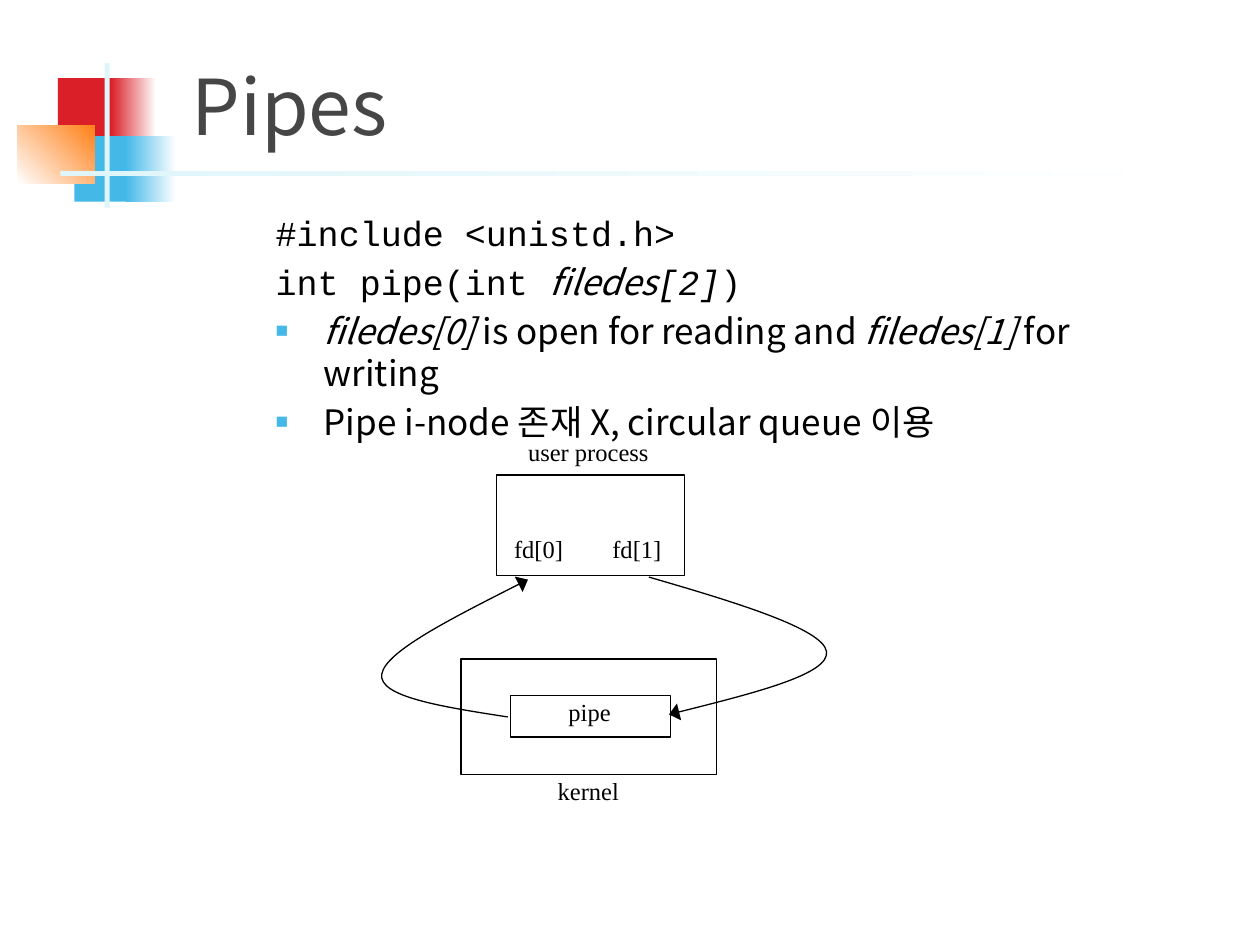
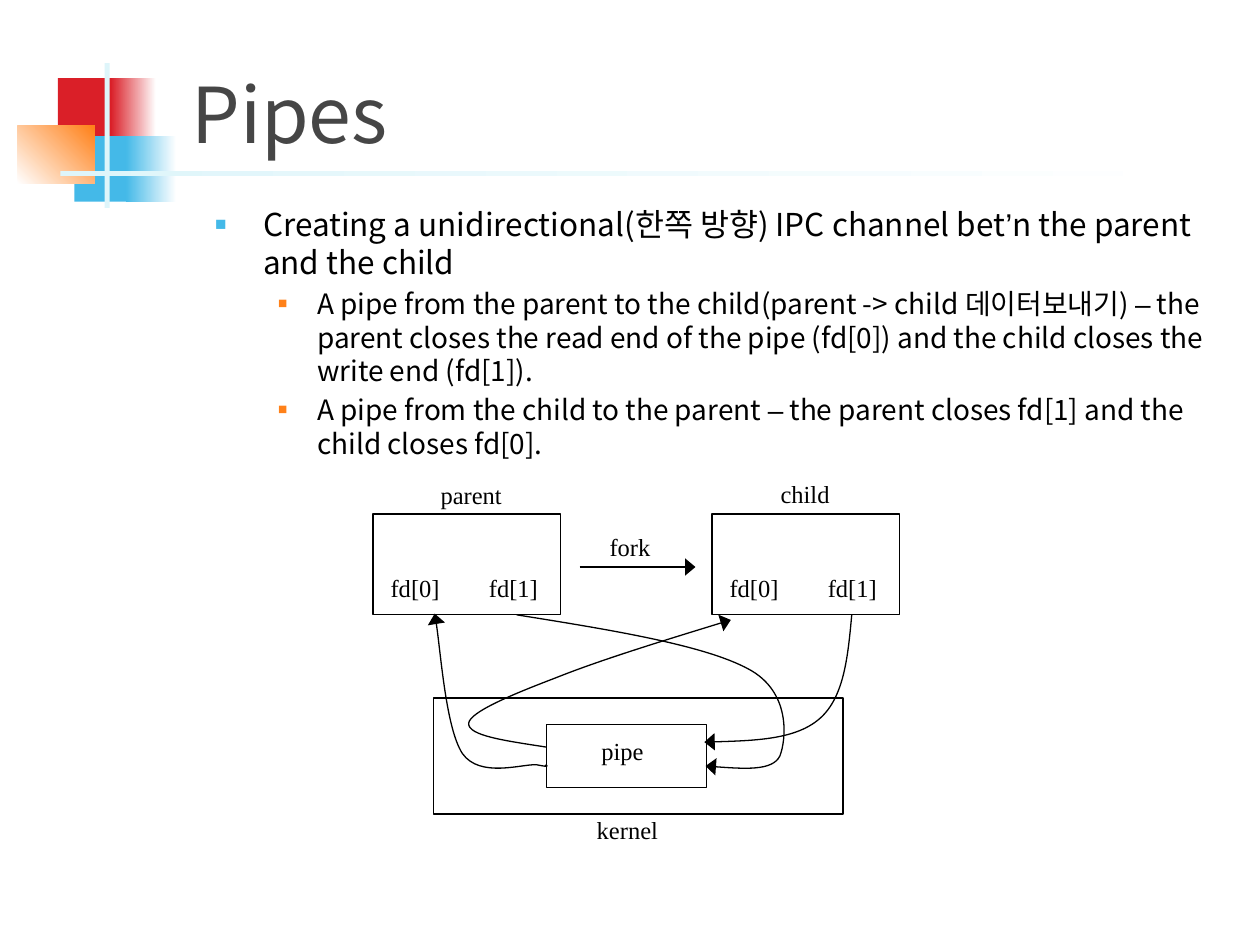
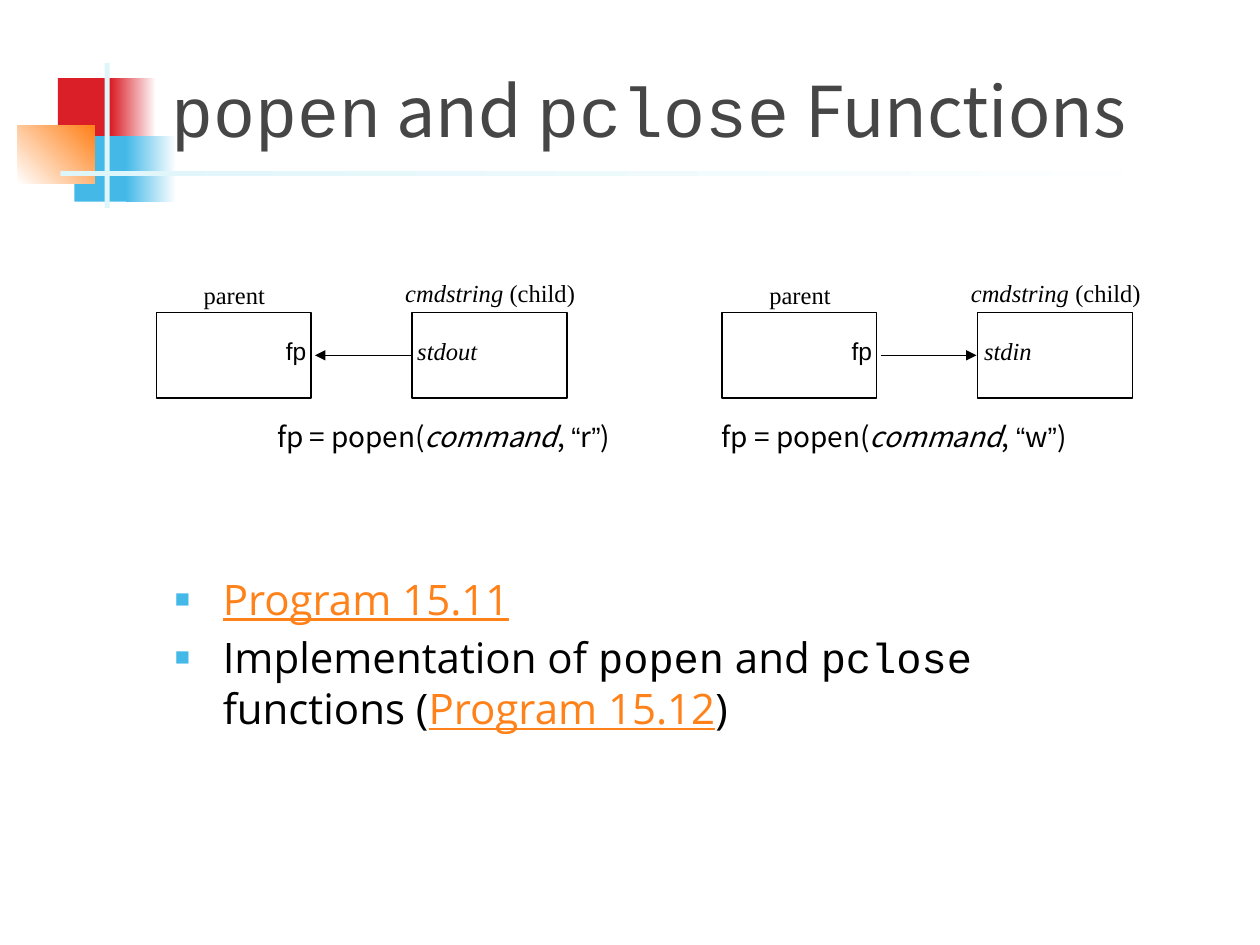
from lxml import etree
from pptx import Presentation
from pptx.dml.color import RGBColor
from pptx.enum.shapes import MSO_CONNECTOR, MSO_SHAPE
from pptx.enum.text import MSO_ANCHOR, PP_ALIGN
from pptx.oxml.ns import qn
from pptx.util import Cm, Pt

COLORS = {
    "red": "DA1F28", "blue": "44B9E8", "orange": "FF8119", "pale": "DEF5FA",
    "white": "FFFFFF", "title": "464646", "black": "000000",
}
SANS, MONO, SERIF = "Noto Sans CJK KR", "Courier New", "Times New Roman"
ARIAL, OPEN = "Arial", "Open Sans"


def inch(value):
    return Cm(value * 2.54)


def rgb(name):
    return RGBColor.from_string(COLORS[name])


def child(parent, tag, **attributes):
    return etree.SubElement(parent, qn(tag), attributes)


class Deck:
    """Holds the shared style and the slide being drawn."""

    def __init__(self):
        self.prs = Presentation()
        self.prs.slide_width, self.prs.slide_height = inch(10), inch(7.5)
        self.slide = None

    def new_slide(self, title, left=1.42, top=0.23, width=7.99, size=44):
        self.slide = self.prs.slides.add_slide(self.prs.slide_layouts[6])
        self.band(0.46, 0.62, 0.48, 0.52, "red")
        self.band(0.88, 0.62, 0.36, 0.52, "red", "white")
        self.band(0.59, 1.08, 0.46, 0.52, "blue")
        self.band(1, 1.08, 0.4, 0.52, "blue", "white")
        self.band(0.14, 1, 0.61, 0.46, "white", "orange", 45)
        self.band(0.83, 0.5, 0.04, 1.15, "pale")
        self.band(0.48, 1.36, 9, 0.04, "pale", "white")
        frame = self.frame(left, top, width, 1.02)
        frame.vertical_anchor = MSO_ANCHOR.BOTTOM
        self.runs(frame.paragraphs[0], title, size, "title")

    def band(self, x, y, w, h, color, end=None, angle=0):
        shape = self.rect(x, y, w, h)
        shape.line.fill.background()
        if end is None:
            shape.fill.solid()
            shape.fill.fore_color.rgb = rgb(color)
            return
        shape.fill.gradient()
        shape.fill.gradient_angle = angle
        for stop, name in zip(shape.fill.gradient_stops, (color, end)):
            stop.color.rgb = rgb(name)

    def rect(self, x, y, w, h):
        shape = self.slide.shapes.add_shape(
            MSO_SHAPE.RECTANGLE, inch(x), inch(y), inch(w), inch(h))
        shape.shadow.inherit = False
        shape.fill.background()
        self.outline(shape)
        return shape

    def outline(self, shape, head=None):
        shape.line.color.rgb = rgb("black")
        shape.line.width = Pt(0.75)
        if head:
            child(shape.line._get_or_add_ln(), "a:tailEnd",
                  type="triangle", w=head, len="med")

    def frame(self, x, y, w, h, wrap=True):
        box = self.slide.shapes.add_textbox(inch(x), inch(y), inch(w), inch(h))
        box.text_frame.word_wrap = wrap
        return box.text_frame

    def runs(self, paragraph, parts, size, color="black"):
        for text, font, *flags in parts:
            run = paragraph.add_run()
            run.text = text
            run.font.name, run.font.size = font, Pt(size)
            run.font.italic = "italic" in flags
            run.font.underline = "link" in flags
            run.font.color.rgb = rgb("orange" if "link" in flags else color)
            child(run.font._element, "a:ea", typeface=SANS)

    def tab(self, paragraph, position):
        tabs = child(paragraph._p.get_or_add_pPr(), "a:tabLst")
        child(tabs, "a:tab", pos=str(inch(position)), algn="l")

    def body(self, x, y, w, h, paragraphs):
        frame = self.frame(x, y, w, h)
        for index, (size, level, bullet, parts) in enumerate(paragraphs):
            para = frame.add_paragraph() if index else frame.paragraphs[0]
            para.level = level
            para.space_before = Pt(size * 0.2)
            if bullet:
                self.bullet(para, level)
            self.runs(para, parts, size)
        return frame

    def bullet(self, paragraph, level):
        left, hang, color, percent = [
            (0.38, 0.38, "blue", 60), (0.81, 0.31, "orange", 55)][level]
        props = paragraph._p.get_or_add_pPr()
        props.set("marL", str(inch(left)))
        props.set("indent", str(-inch(hang)))
        child(child(props, "a:buClr"), "a:srgbClr", val=COLORS[color])
        child(props, "a:buSzPct", val=str(percent * 1000))
        child(props, "a:buFont", typeface=ARIAL)
        child(props, "a:buChar", char="■")

    def label(self, center, top, *parts):
        frame = self.frame(center - 0.8, top, 1.6, 0.33, wrap=False)
        frame.paragraphs[0].alignment = PP_ALIGN.CENTER
        self.runs(frame.paragraphs[0], parts, 14)

    def process(self, x, y, caption, center, top):
        self.rect(x, y, 1.49, 0.8)
        self.label(center, top, (caption, SERIF))
        frame = self.frame(x - 0.13, y + 0.42, 1.72, 0.33)
        frame.margin_left = inch(0.27)
        self.tab(frame.paragraphs[0], 0.78)
        self.runs(frame.paragraphs[0], [("fd[0]\tfd[1]", SERIF)], 14)

    def kernel(self, x, y, w, center, pipe, pipe_center):
        self.rect(x, y, w, 0.92)
        self.label(center, y + 0.88, ("kernel", SERIF))
        self.rect(*pipe)
        self.label(pipe_center, y + 0.25, ("pipe", SERIF))

    def arrow(self, x1, x2, y, head="med"):
        line = self.slide.shapes.add_connector(
            MSO_CONNECTOR.STRAIGHT, inch(x1), inch(y), inch(x2), inch(y))
        self.outline(line, head)
        child(line._element.spPr, "a:effectLst")

    def curve(self, *points):
        start, *rest = [(inch(x), inch(y)) for x, y in points]
        builder = self.slide.shapes.build_freeform(*start, scale=1.0)
        builder.add_line_segments(rest, close=False)
        shape = builder.convert_to_shape()
        path = next(shape._element.iter(qn("a:path")))
        segments = path.findall(qn("a:lnTo"))
        for first in range(0, len(segments), 3):
            bezier = child(path, "a:cubicBezTo")
            for segment in segments[first:first + 3]:
                bezier.append(segment[0])
                path.remove(segment)
        shape.shadow.inherit = False
        shape.fill.background()
        self.outline(shape, "lg")

    def popen(self, x, stream, reading):
        middle = 2.82
        for left in (x, x + 2.03):
            self.rect(left, 2.48, 1.23, 0.68)
        self.label(x + 0.62, 2.17, ("parent", SERIF))
        self.label(x + 2.65, 2.16,
                   ("cmdstring", SERIF, "italic"), (" (child)", SERIF))
        self.label(x + 1.11, 2.62, ("fp", ARIAL))
        self.label(x + (2.31 if reading else 2.27), 2.62,
                   (stream, SERIF, "italic"))
        ends = (x + 1.26, x + 2.02)
        self.arrow(*(reversed(ends) if reading else ends), middle)


def popen_call(mode):
    return [("fp = popen(", SANS), ("command", SANS, "italic"), (", ", SANS),
            ("“", ARIAL), (mode, SANS), ("”", ARIAL), (")", SANS)]


deck = Deck()

deck.new_slide([("Pipes", SANS)])
deck.body(2.09, 1.63, 7.34, 1.92, [
    (20, 0, False, [("#include <unistd.h>", MONO)]),
    (20, 0, False, [("int pipe(int ", MONO), ("filedes", SANS, "italic"),
                    ("[2]", MONO, "italic"), (")", MONO)]),
    (20, 0, True, [("filedes[0]", SANS, "italic"),
                   (" is open for reading and ", SANS),
                   ("filedes[1]", SANS, "italic"), (" for writing", SANS)]),
    (20, 0, True, [("Pipe i-node 존재 X, circular queue 이용", SANS)]),
])
deck.process(3.94, 3.77, "user process", 4.67, 3.42)
deck.kernel(3.66, 5.23, 2.03, 4.67, (4.05, 5.52, 1.27, 0.33), 4.68)
deck.curve((4.03, 5.69), (3.51, 5.61), (3, 5.53), (3.03, 5.35),
           (3.06, 5.17), (3.62, 4.89), (4.19, 4.6))
deck.curve((5.15, 4.58), (5.84, 4.78), (6.53, 4.99), (6.56, 5.17),
           (6.59, 5.35), (5.95, 5.51), (5.31, 5.67))

deck.new_slide([("Pipes", SANS)], top=0.29)
deck.body(1.61, 1.58, 8.18, 2.09, [
    (18, 0, True, [("Creating a unidirectional(한쪽 방향) IPC channel bet", SANS),
                   ("’", ARIAL), ("n the parent and the child", SANS)]),
    (16, 1, True, [
        ("A pipe from the parent to the child(parent -> child 데이터보내기) ", SANS),
        ("–", ARIAL),
        (" the parent closes the read end of the pipe (fd[0]) and the child"
         " closes the write end (fd[1]).", SANS)]),
    (16, 1, True, [
        ("A pipe from the child to the parent ", SANS), ("–", ARIAL),
        (" the parent closes fd[1] and the child closes fd[0].", SANS)]),
])
deck.process(2.96, 4.08, "parent", 3.74, 3.76)
deck.process(5.65, 4.08, "child", 6.39, 3.75)
deck.kernel(3.44, 5.54, 3.25, 4.98, (4.34, 5.75, 1.27, 0.5), 4.94)
deck.arrow(4.6, 5.52, 4.5, "lg")
deck.label(5, 4.17, ("fork", SERIF))
deck.curve((4.34, 5.93), (4.02, 5.88), (3.71, 5.84), (3.72, 5.74),
           (3.73, 5.65), (4.07, 5.51), (4.41, 5.38),
           (4.76, 5.24), (5.28, 5.08), (5.8, 4.92))
deck.curve((4.33, 6.07), (4.35, 6.08), (4.36, 6.09), (4.26, 6.07),
           (4.15, 6.06), (3.81, 6.18), (3.67, 5.98),
           (3.54, 5.78), (3.49, 5.07), (3.45, 4.87))
deck.curve((6.76, 4.88), (6.73, 5.21), (6.7, 5.53), (6.51, 5.7),
           (6.32, 5.87), (5.95, 5.88), (5.59, 5.89))
deck.curve((4.1, 4.88), (4.85, 5), (5.59, 5.12), (5.94, 5.31),
           (6.28, 5.49), (6.24, 5.87), (6.19, 6),
           (6.13, 6.12), (5.87, 6.1), (5.6, 6.08))

deck.new_slide([("popen", MONO), (" and ", SANS), ("pclose", MONO),
                (" Functions", SANS)], left=1.26, width=8.52, size=40)
calls = deck.body(2.1, 3.28, 7.62, 0.5, [
    (16, 0, False, popen_call("r") + [("\t", SANS)] + popen_call("w"))])
deck.tab(calls.paragraphs[0], 3.53)
deck.popen(1.24, "stdout", reading=True)
deck.popen(5.73, "stdin", reading=False)
deck.body(1.29, 4.5, 8.04, 1.83, [
    (24, 0, True, [("Program 15.11", OPEN, "link")]),
    (24, 0, True, [("Implementation of ", OPEN), ("popen", MONO),
                   (" and ", OPEN), ("pclose", MONO), (" functions (", OPEN),
                   ("Program 15.12", OPEN, "link"), (")", OPEN)]),
])

deck.prs.save("out.pptx")
